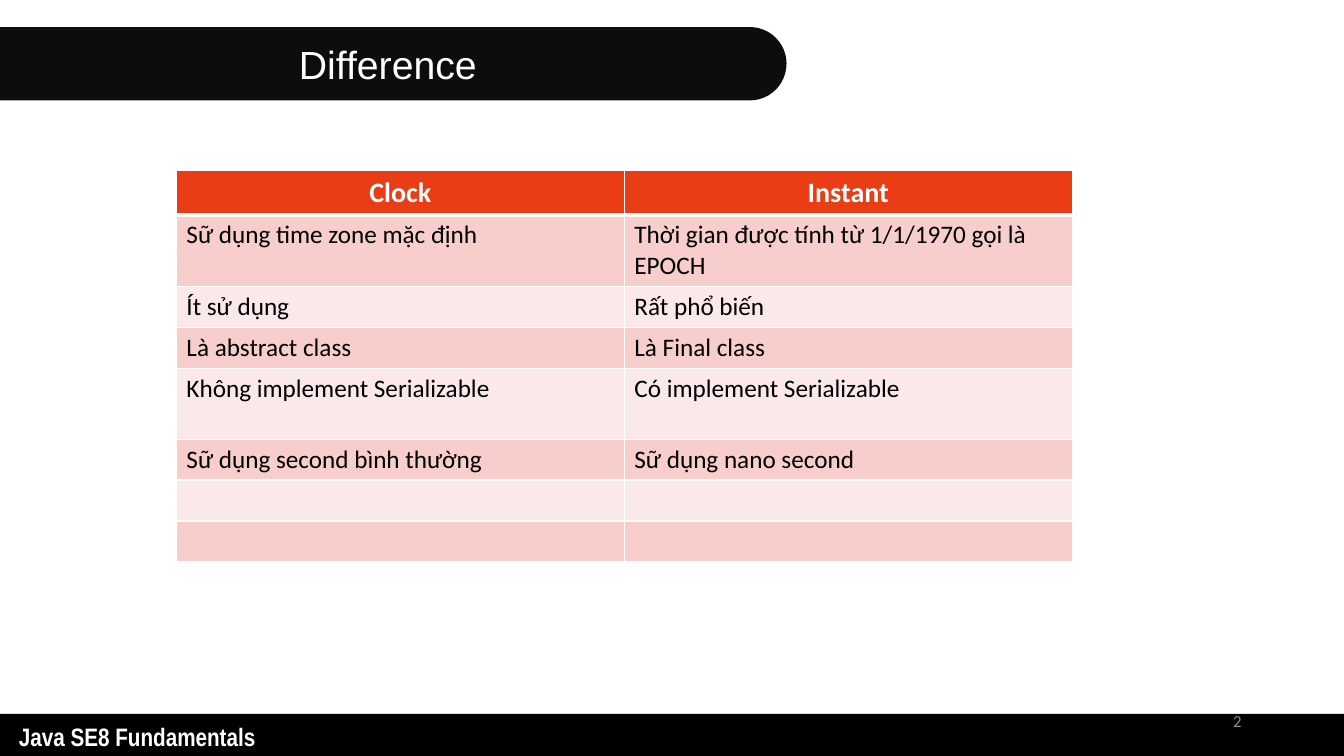
from lxml import etree
from pptx import Presentation
from pptx import util as u
from pptx.dml.color import RGBColor
from pptx.enum import shapes, text
from pptx.oxml.ns import qn

Pt = u.Pt
HUES = {"white": "FFFFFF", "black": "000000", "pill": "0D0D0D", "gray": "8C8C8C",
        "head": "EA3D15", "odd": "F7CECC", "even": "FBE8E8"}
ROWS = [
    ("Clock", "Instant"),
    ("Sữ dụng time zone mặc định", "Thời gian được tính từ 1/1/1970 gọi là EPOCH"),
    ("Ít sử dụng", "Rất phổ biến"),
    ("Là abstract class", "Là Final class"),
    ("Không implement Serializable", "Có implement Serializable"),
    ("Sữ dụng second bình thường", "Sữ dụng nano second"),
    ("", ""),
    ("", ""),
]
LOW, TALL = 29.2, 50.6
HIGHS = [31, TALL, LOW, LOW, TALL, LOW, LOW, LOW]


class Deck:
    """Holds the style and the current slide."""

    def __init__(self, wide, high):
        """Start a deck with one title-only slide."""
        self.show = Presentation()
        self.show.slide_width, self.show.slide_height = Pt(wide), Pt(high)
        self.slide = self.show.slides.add_slide(self.show.slide_layouts[5])

    def hue(self, name):
        """Look up a colour."""
        return RGBColor.from_string(HUES[name])

    def fill_text(self, frame, words, size, hue, font="Calibri", bold=False,
                  align="LEFT", anchor="TOP"):
        """Put one styled paragraph into a text frame."""
        frame.word_wrap = True
        frame.vertical_anchor = text.MSO_ANCHOR[anchor]
        para = frame.paragraphs[0]
        para.text, para.alignment = words, text.PP_ALIGN[align]
        para.font.size, para.font.name, para.font.bold = Pt(size), font, bold
        para.font.color.rgb = self.hue(hue)

    def shape(self, kind, box, hue, turn=0):
        """Add a plain filled preset shape."""
        item = self.slide.shapes.add_shape(shapes.MSO_SHAPE[kind], *map(Pt, box))
        item.shadow.inherit = False
        item.fill.solid()
        item.fill.fore_color.rgb = self.hue(hue)
        item.line.fill.background()
        item.rotation = turn
        return item

    def title(self, words, box, **style):
        """Place the title and bring it to the front."""
        item = self.slide.shapes.title
        item.left, item.top, item.width, item.height = map(Pt, box)
        self.fill_text(item.text_frame, words, **style)
        tree = self.slide.shapes.element
        tree.remove(item.element)
        tree.append(item.element)

    def label(self, words, box, **style):
        """Add a text box."""
        item = self.slide.shapes.add_textbox(*map(Pt, box))
        self.fill_text(item.text_frame, words, **style)

    def edge(self, cell, sides):
        """Draw white cell borders; sides maps L, R, T, B to widths."""
        props = cell._tc.get_or_add_tcPr()
        for spot, (side, width) in enumerate(sides.items()):
            line = etree.Element(qn("a:ln" + side), w=str(Pt(width)))
            fill = etree.SubElement(line, qn("a:solidFill"))
            etree.SubElement(fill, qn("a:srgbClr"), val=HUES["white"])
            props.insert(spot, line)

    def table(self, rows, highs, left, top, wide):
        """Add a banded table with a header row."""
        grid = self.slide.shapes.add_table(
            len(rows), len(rows[0]), Pt(left), Pt(top), Pt(wide), Pt(sum(highs))).table
        for r, (row, high) in enumerate(zip(rows, highs)):
            grid.rows[r].height = Pt(high)
            for c, words in enumerate(row):
                cell = grid.cell(r, c)
                cell.fill.solid()
                band = "odd" if r % 2 else "even"
                cell.fill.fore_color.rgb = self.hue(band if r else "head")
                style = (dict(size=18, hue="black") if r else
                         dict(size=20, hue="white", bold=True, align="CENTER"))
                self.fill_text(cell.text_frame, words, **style)
                self.edge(cell, {"L": 1, "R": 1, "T": 3 if r == 1 else 1,
                                 "B": 1 if r else 3})


def main():
    """Build the slide and save it."""
    deck = Deck(960, 540)
    deck.shape("RECTANGLE", (0, 510, 960, 33), "black")
    deck.label("Java SE8 Fundamentals", (6.5, 512, 236, 29), size=18,
               hue="white", font="Arial Narrow", bold=True)
    deck.label("2", (678, 500.5, 216, 29), size=12, hue="gray",
               align="RIGHT", anchor="MIDDLE")
    pill = deck.shape("ROUND_2_SAME_RECTANGLE", (254.7, -235.4, 52.4, 561.8),
                      "pill", turn=90)
    pill.adjustments[0], pill.adjustments[1] = 0.5, 0
    deck.title("Difference", (0, 19.5, 554, 52.4), size=28, hue="white",
               font="Arial", align="CENTER", anchor="MIDDLE")
    deck.table(ROWS, HIGHS, 126, 121.8, 640)
    deck.show.save("out.pptx")


main()
